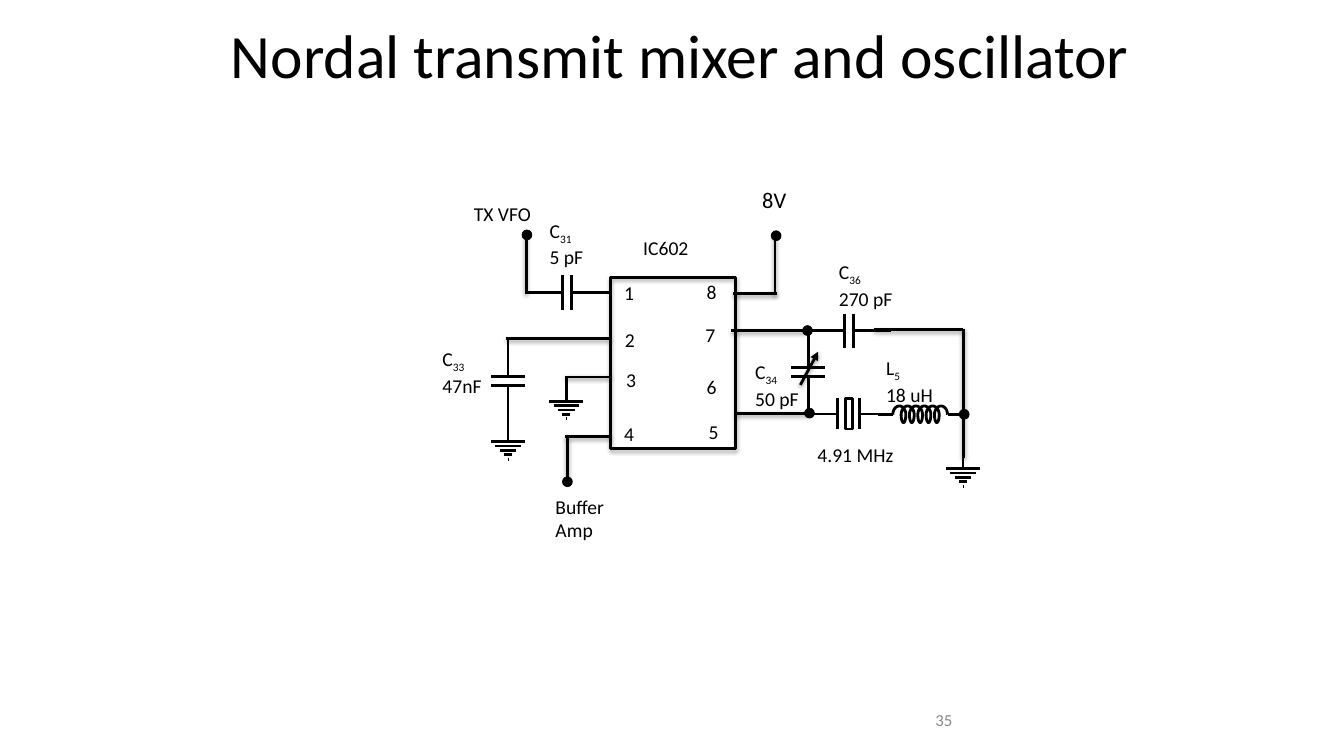
from math import cos, pi, sin

from lxml import etree
from pptx import Presentation
from pptx.dml.color import RGBColor
from pptx.enum.shapes import MSO_CONNECTOR, MSO_SHAPE
from pptx.enum.text import MSO_ANCHOR as ANCHOR, MSO_AUTO_SIZE as AUTO_SIZE, PP_ALIGN as ALIGN
from pptx.oxml.ns import qn
from pptx.util import Cm, Pt

BLACK = "000000"
GRAY = "888888"


def color(hex_string):
    return RGBColor.from_string(hex_string)


def set_effects(shape, alpha=None):
    """Give the shape a soft shadow below it, or no effect if alpha is None."""
    effects = etree.SubElement(shape._element.spPr, qn("a:effectLst"))
    if alpha is not None:
        shadow = etree.SubElement(effects, qn("a:outerShdw"), blurRad="38100",
                                  dist="21600", dir="5400000", rotWithShape="0")
        tone = etree.SubElement(shadow, qn("a:srgbClr"), val=BLACK)
        etree.SubElement(tone, qn("a:alpha"), val=str(alpha * 1000))


class Schematic:
    """Draws circuit parts on one slide; all lengths are in centimetres."""

    font = "Calibri"
    line_width = 2
    lead = 1.05
    plate = 0.43
    gap = 0.11

    def __init__(self, slide):
        self.shapes = slide.shapes

    def text(self, text, left, top, width=1.93, height=0.86, *, size=14, fill=BLACK,
             align=ALIGN.LEFT, anchor=ANCHOR.TOP, inset=0.13, wrap=True, subscript=""):
        """Place text; the subscript follows its first line."""
        box = self.shapes.add_textbox(Cm(left), Cm(top), Cm(width), Cm(height))
        frame = box.text_frame
        frame.word_wrap = wrap
        frame.auto_size = AUTO_SIZE.SHAPE_TO_FIT_TEXT
        frame.vertical_anchor = anchor
        frame.margin_left = frame.margin_right = Cm(inset)
        frame.margin_top = frame.margin_bottom = Cm(inset)
        for index, line in enumerate(text.split("\n")):
            paragraph = frame.add_paragraph() if index else frame.paragraphs[0]
            paragraph.alignment = align
            paragraph.add_run().text = line
            if subscript and index == 0:
                run = paragraph.add_run()
                run.text = subscript
                run.font._element.set("baseline", "-25000")
            for run in paragraph.runs:
                run.font.name = self.font
                run.font.size = Pt(size)
                run.font.color.rgb = color(fill)

    def outline(self, shape, width=line_width):
        shape.line.color.rgb = color(BLACK)
        shape.line.width = Pt(width)

    def wire(self, x1, y1, x2, y2, shadow=None, arrow=False):
        line = self.shapes.add_connector(MSO_CONNECTOR.STRAIGHT, Cm(x1), Cm(y1), Cm(x2), Cm(y2))
        self.outline(line)
        if arrow:
            etree.SubElement(line.line._get_or_add_ln(), qn("a:tailEnd"), type="triangle")
        set_effects(line, shadow)

    def box(self, left, top, width, height, shadow=None):
        shape = self.shapes.add_shape(MSO_SHAPE.RECTANGLE, Cm(left), Cm(top), Cm(width), Cm(height))
        shape.fill.background()
        self.outline(shape)
        set_effects(shape, shadow)

    def dot(self, x, y, size=0.25):
        shape = self.shapes.add_shape(MSO_SHAPE.OVAL, Cm(x - size / 2), Cm(y - size / 2),
                                      Cm(size), Cm(size))
        shape.fill.solid()
        shape.fill.fore_color.rgb = color(BLACK)
        self.outline(shape, 0.5)
        shape.shadow.inherit = False

    def plates(self, x, y, gap, plate, lead, upright=False):
        """Draw two plates around (x, y), each with its lead."""
        for side in (-1, 1):
            near, far = side * gap, side * lead
            if upright:
                self.wire(x, y + near, x, y + far)
                self.wire(x - plate, y + near, x + plate, y + near)
            else:
                self.wire(x + near, y, x + far, y)
                self.wire(x + near, y - plate, x + near, y + plate)

    def capacitor(self, x, y, upright=False):
        self.plates(x, y, self.gap, self.plate, self.lead, upright)

    def crystal(self, x, y):
        self.plates(x, y, 0.28, 0.39, 1.03)
        self.box(x - 0.09, y - 0.38, 0.18, 0.76)

    def ground(self, x, y):
        self.wire(x, y - 0.64, x, y)
        for bar in range(5):
            half = max(self.plate - 0.11 * bar, 0.01)
            self.wire(x - half, y + 0.11 * bar, x + half, y + 0.11 * bar)

    def inductor(self, x, y, turns=6, pitch=0.21, turn_width=0.33, lead=0.38):
        """Draw a coil that starts at x, with a lead at either end."""
        points = []
        steps = 12
        for turn in range(turns):
            start = x + pitch * turn
            end = start + turn_width
            arcs = [(start, end, -0.22)]
            if turn < turns - 1:
                arcs.append((end, start + pitch, 0.2))
            for begin, finish, rise in arcs:
                for step in range(steps + 1):
                    angle = pi * step / steps
                    across = (1 - cos(angle)) / 2
                    points.append((Cm(begin + (finish - begin) * across),
                                   Cm(y + rise * sin(angle))))
        builder = self.shapes.build_freeform(*points[0])
        builder.add_line_segments(points[1:], close=False)
        coil = builder.convert_to_shape()
        coil.fill.background()
        self.outline(coil)
        coil.shadow.inherit = False
        self.wire(x - lead, y, x, y)
        self.wire(end, y, end + lead, y)


def draw_circuit(schematic):
    schematic.box(15.39, 6.99, 3.15, 4.32, shadow=35)
    schematic.text("IC602", 16.21, 5.94, 1.27, 0.61, inset=0, wrap=False)
    left_pins = [(15.6, 6.96), (15.62, 8.13), (15.65, 9.14), (15.6, 10.49)]
    right_pins = [(16.26, 6.93), (16.23, 8), (16.26, 9.32), (16.31, 10.46)]
    for pin, (left, top) in enumerate(left_pins, 1):
        schematic.text(str(pin), left, top)
    for offset, (left, top) in enumerate(right_pins):
        schematic.text(str(8 - offset), left, top, align=ALIGN.RIGHT)

    for x1, y1, x2, y2 in [
        (13.26, 5.89, 13.26, 7.39),
        (12.75, 8.53, 15.39, 8.53),
        (14.25, 9.5, 15.39, 9.5),
        (14.25, 11, 15.39, 11),
        (14.3, 11, 14.3, 12.04),
        (18.47, 7.39, 19.58, 7.39),
        (19.53, 5.89, 19.53, 7.42),
        (18.42, 8.33, 20.32, 8.33),
        (18.52, 10.41, 20.42, 10.41),
        (22.02, 8.31, 24.28, 8.31),
        (24.28, 8.28, 24.28, 11.53),
    ]:
        schematic.wire(x1, y1, x2, y2, shadow=38)

    schematic.capacitor(14.29, 7.37)
    schematic.capacitor(21.4, 8.33)
    schematic.capacitor(12.8, 9.6, upright=True)
    schematic.capacitor(20.37, 9.37, upright=True)
    schematic.wire(20.17, 9.7, 20.62, 8.86, shadow=38, arrow=True)
    schematic.crystal(21.39, 10.43)
    schematic.inductor(22.5, 10.45)
    for x, y in [(12.8, 11.13), (14.27, 10.11), (24.27, 11.81)]:
        schematic.ground(x, y)
    for x, y in [(13.28, 5.92), (19.56, 5.94), (20.35, 8.33),
                 (14.3, 12.14), (20.4, 10.41), (24.3, 10.44)]:
        schematic.dot(x, y)

    for letter, number, value, left, top in [
        ("C", "31", "5 pF", 13.72, 5.38),
        ("C", "33", "47nF", 11.02, 8.61),
        ("C", "34", "50 pF", 18.9, 8.94),
        ("C", "36", "270 pF", 21.01, 6.43),
        ("L", "5", "18 uH", 22.2, 8.84),
    ]:
        schematic.text(f"{letter}\n{value}", left, top, 1.88, 1.45, subscript=number)
    schematic.text("TX VFO", 11.81, 4.95, 2.18)
    schematic.text("8V", 19.08, 4.57, 0.99, 0.94, size=16)
    schematic.text("4.91 MHz", 20.47, 11.02, 2.18)
    schematic.text("Buffer\nAmp", 13.87, 12.34, 2.18, 1.45)


def main():
    presentation = Presentation()
    presentation.slide_width, presentation.slide_height = Cm(33.87), Cm(19.05)
    slide = presentation.slides.add_slide(presentation.slide_layouts[6])
    schematic = Schematic(slide)
    schematic.text("Nordal transmit mixer and oscillator", 0.43, 0.43, 33.43, 1.88,
                   size=44, align=ALIGN.CENTER, inset=0)
    draw_circuit(schematic)
    schematic.text("35", 18.21, 17.78, 5.92, 0.74, size=12, fill=GRAY,
                   align=ALIGN.RIGHT, anchor=ANCHOR.MIDDLE)
    presentation.save("out.pptx")


if __name__ == "__main__":
    main()
